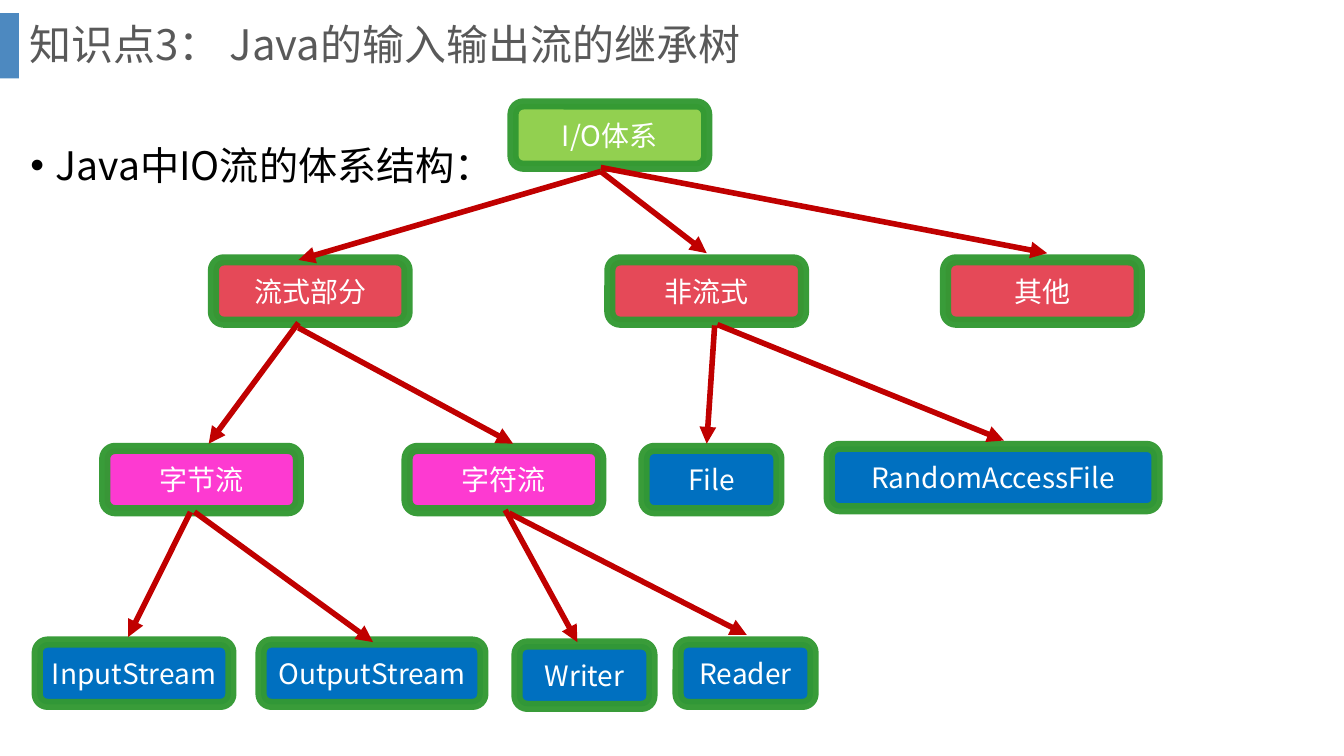
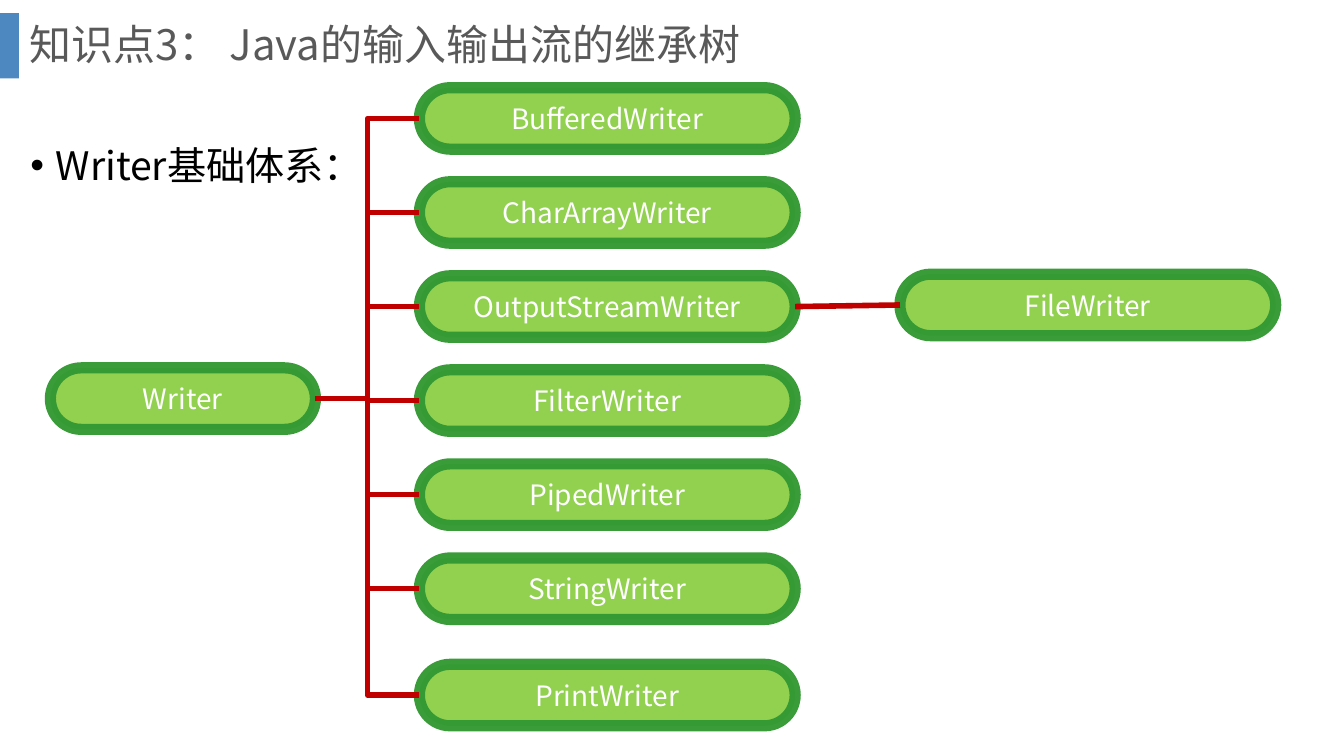
"""Build two slides on the inheritance tree of Java input and output streams."""
from lxml import etree
from pptx import Presentation
from pptx.dml.color import RGBColor
from pptx.enum.shapes import MSO_CONNECTOR, MSO_SHAPE
from pptx.enum.text import MSO_ANCHOR, MSO_AUTO_SIZE, PP_ALIGN
from pptx.oxml.ns import qn
from pptx.util import Cm, Pt

RECTANGLE, ROUNDED = MSO_SHAPE.RECTANGLE, MSO_SHAPE.ROUNDED_RECTANGLE
STRAIGHT, ELBOW = MSO_CONNECTOR.STRAIGHT, MSO_CONNECTOR.ELBOW
LEFT, CENTER = PP_ALIGN.LEFT, PP_ALIGN.CENTER
TOP, MIDDLE = MSO_ANCHOR.TOP, MSO_ANCHOR.MIDDLE
NO_FIT = MSO_AUTO_SIZE.NONE
LEFT_SITE, RIGHT_SITE = 1, 3

FONT = "Noto Sans CJK SC"
WHITE, BLACK, GRAY = "FFFFFF", "000000", "595959"
ACCENT, BORDER, ARROW = "2E75B6", "339933", "C00000"
LIME, RED, PINK, BLUE = "92D050", "E54958", "FD3AD1", "0070C0"

TITLE = "知识点3： Java的输入输出流的继承树"
NODE_HEIGHT, PILL_HEIGHT, PILL_WIDTH = 1.57, 1.55, 9.47
PILL_LEFT, PILL_TOP, PILL_STEP = 10.57, 2.21, 2.37

IO_NODES = [
    ("I/O体系", LIME, 12.93, 2.62, 4.88),
    ("流式部分", RED, 5.38, 6.55, 4.88),
    ("非流式", RED, 15.37, 6.55, 4.88),
    ("其他", RED, 23.83, 6.55, 4.88),
    ("字节流", PINK, 2.64, 11.3, 4.88),
    ("字符流", PINK, 10.26, 11.3, 4.88),
    ("InputStream", BLUE, 0.94, 16.18, 4.88),
    ("OutputStream", BLUE, 6.58, 16.18, 5.59),
    ("Writer", BLUE, 13.03, 16.23, 3.4),
    ("Reader", BLUE, 17.09, 16.18, 3.4),
    ("File", BLUE, 16.23, 11.3, 3.4),
    ("RandomAccessFile", BLUE, 20.9, 11.25, 8.26),
]
IO_ARROWS = [
    (15.14, 4.32, 7.52, 6.55),
    (15.14, 4.32, 17.81, 6.38),
    (15.14, 4.22, 26.39, 6.38),
    (7.52, 8.13, 5.26, 11.18),
    (7.52, 8.26, 12.93, 11.18),
    (18.08, 8.18, 25.3, 11.1),
    (18.01, 8.2, 17.81, 11.18),
    (4.8, 12.9, 3.23, 16.05),
    (4.9, 12.9, 9.4, 16.18),
    (12.73, 12.85, 14.55, 16.18),
    (12.83, 12.93, 18.82, 16),
]
WRITERS = ["BufferedWriter", "CharArrayWriter", "OutputStreamWriter",
           "FilterWriter", "PipedWriter", "StringWriter"]


def paint(fill, color, opacity=100):
    """Make a fill solid in a hex colour, partly see-through if asked."""
    fill.solid()
    fill.fore_color.rgb = RGBColor.from_string(color)
    if opacity < 100:
        rgb = fill._xPr.find(qn("a:solidFill"))[0]
        etree.SubElement(rgb, qn("a:alpha"), val=str(opacity * 1000))


class Lesson:
    """Hold the deck, its style and the slide being filled."""

    def __init__(self):
        """Start an empty widescreen deck."""
        self.deck = Presentation()
        self.deck.slide_width, self.deck.slide_height = Cm(33.87), Cm(19.05)
        self.slide = None

    def start_slide(self, topic):
        """Add a slide with its accent bar, title and bulleted topic."""
        self.slide = self.deck.slides.add_slide(self.deck.slide_layouts[1])
        self.block(RECTANGLE, ACCENT, 0, 0.33, 0.48, 1.65, 85).line.fill.background()
        title, body = self.slide.placeholders
        heading = self.place(title, 0.48, 0, 32.16, 2.36, MIDDLE)
        heading.line_spacing = 0.9
        self.add_text(heading, TITLE, 30, GRAY, LEFT)
        bullet = self.place(body, 0.51, 2.84, 32.77, 14.78, TOP)
        properties = bullet._p.get_or_add_pPr()
        properties.set("marL", str(Cm(0.64)))
        properties.set("indent", str(Cm(-0.64)))
        etree.SubElement(properties, qn("a:buChar"), char="•")
        bullet.line_spacing, bullet.space_before = 1.5, Pt(0)
        self.add_text(bullet, topic, 28, BLACK, LEFT)

    def place(self, holder, left, top, width, height, anchor):
        """Move a placeholder and return its first paragraph."""
        holder.left, holder.top = Cm(left), Cm(top)
        holder.width, holder.height = Cm(width), Cm(height)
        frame = holder.text_frame
        frame.auto_size, frame.vertical_anchor = NO_FIT, anchor
        return frame.paragraphs[0]

    def add_text(self, paragraph, text, size, color, align):
        """Add one styled run to a paragraph."""
        paragraph.alignment = align
        run = paragraph.add_run()
        run.text = text
        run.font.size = Pt(size)
        paint(run.font.fill, color)
        run.font.name = FONT
        etree.SubElement(run.font._element, qn("a:ea"), typeface=FONT)

    def block(self, preset, color, left, top, width, height, opacity=100):
        """Add a filled shape without a shadow."""
        block = self.slide.shapes.add_shape(
            preset, Cm(left), Cm(top), Cm(width), Cm(height))
        block.shadow.inherit = False
        paint(block.fill, color, opacity)
        return block

    def node(self, text, color, left, top, width, height=NODE_HEIGHT):
        """Add a labelled rounded box with a thick green border."""
        node = self.block(ROUNDED, color, left, top, width, height)
        node.line.width = Pt(8)
        paint(node.line.fill, BORDER, 96)
        frame = node.text_frame
        frame.word_wrap, frame.vertical_anchor = True, MIDDLE
        self.add_text(frame.paragraphs[0], text, 20, WHITE, CENTER)
        return node

    def pill(self, text, left, top, width=PILL_WIDTH):
        """Add a class name in a box with fully round ends."""
        pill = self.node(text, LIME, left, top, width, PILL_HEIGHT)
        pill.adjustments[0] = 0.5
        return pill

    def line(self, kind, *ends):
        """Add a thick red connector between two points."""
        line = self.slide.shapes.add_connector(kind, *map(Cm, ends))
        line.line.width = Pt(4)
        paint(line.line.fill, ARROW)
        etree.SubElement(line._element.spPr, qn("a:effectLst"))
        return line

    def arrow(self, *ends):
        """Add a straight line with an arrowhead at its end."""
        outline = self.line(STRAIGHT, *ends)._element.spPr.find(qn("a:ln"))
        etree.SubElement(outline, qn("a:tailEnd"), type="triangle")

    def link(self, parent, child, kind=ELBOW):
        """Join the right side of a parent to the left side of a child."""
        line = self.line(kind, 0, 0, 0, 0)
        line.begin_connect(parent, RIGHT_SITE)
        line.end_connect(child, LEFT_SITE)


def main():
    """Build both slides and save the deck."""
    lesson = Lesson()

    lesson.start_slide("Java中IO流的体系结构：")
    for node in IO_NODES:
        lesson.node(*node)
    for ends in IO_ARROWS:
        lesson.arrow(*ends)

    lesson.start_slide("Writer基础体系：")
    writer = lesson.pill("Writer", 1.27, 9.27, 6.68)
    tops = {name: PILL_TOP + row * PILL_STEP for row, name in enumerate(WRITERS)}
    tops["PrintWriter"] = 16.74
    subclasses = {name: lesson.pill(name, PILL_LEFT, top) for name, top in tops.items()}
    for subclass in subclasses.values():
        lesson.link(writer, subclass)
    file_writer = lesson.pill("FileWriter", 22.68, 6.91)
    lesson.link(subclasses["OutputStreamWriter"], file_writer, STRAIGHT)

    lesson.deck.save("out.pptx")


if __name__ == "__main__":
    main()
